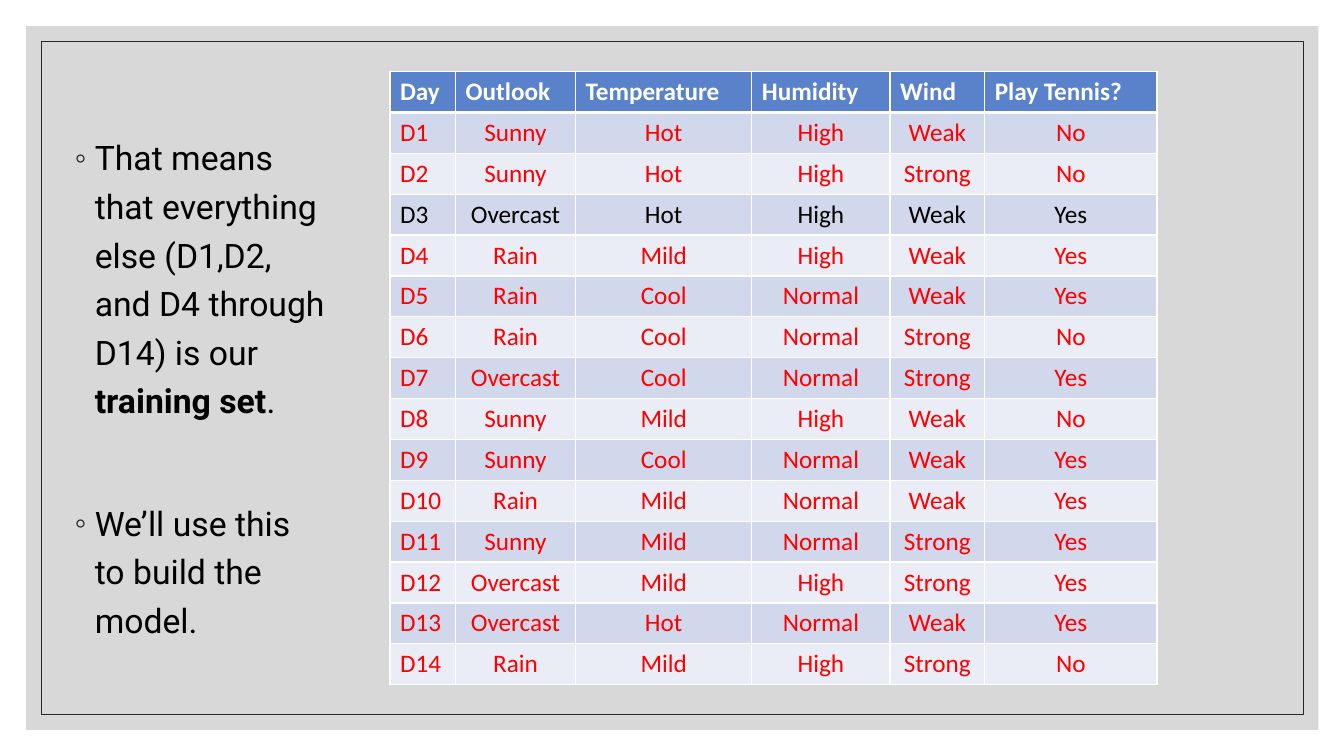
from dataclasses import dataclass
from typing import Optional

from lxml import etree
from pptx import Presentation
from pptx.dml.color import RGBColor
from pptx.enum import shapes, text
from pptx.oxml import ns
from pptx.util import Pt


@dataclass(frozen=True)
class Theme:
    panel: str = "BFBFBF"
    panel_opacity: int = 60
    frame: str = "262626"
    ink: str = "000000"
    training: str = "FF0000"
    header: str = "5A82CB"
    bands: tuple[str, str] = ("D2D8EC", "EAEDF6")
    white: str = "FFFFFF"
    point_font: str = "Roboto"
    point_size: float = 24.1
    table_font: str = "Calibri"
    table_size: float = 18


@dataclass(frozen=True)
class Backdrop:
    left: float
    top: float
    width: float
    height: float
    fill: Optional[str] = None
    line: Optional[str] = None


@dataclass(frozen=True)
class Point:
    runs: tuple[tuple[str, bool], ...]
    space_before: float = 0


@dataclass(frozen=True)
class Column:
    heading: str
    width: float
    align: text.PP_ALIGN = text.PP_ALIGN.CENTER


THEME = Theme()
BACKDROPS = (
    Backdrop(18.7, 18.7, 923, 502.6, fill=THEME.panel),
    Backdrop(29.5, 29.5, 901.4, 481, line=THEME.frame),
)
POINTS = (
    Point((
        ("That means that everything else (D1,D2, and D4 through D14) is our ", False),
        ("training set", True),
        (".", False),
    )),
    Point((("We’ll use this to build the model.", False),), space_before=52.6),
)
COLUMNS = (
    Column("Day", 46.8, text.PP_ALIGN.LEFT),
    Column("Outlook", 85.7),
    Column("Temperature", 126),
    Column("Humidity", 98.6),
    Column("Wind", 67.7),
    Column("Play Tennis?", 123.1),
)
OBSERVATIONS = (
    "Sunny Hot High Weak No",
    "Sunny Hot High Strong No",
    "Overcast Hot High Weak Yes",
    "Rain Mild High Weak Yes",
    "Rain Cool Normal Weak Yes",
    "Rain Cool Normal Strong No",
    "Overcast Cool Normal Strong Yes",
    "Sunny Mild High Weak No",
    "Sunny Cool Normal Weak Yes",
    "Rain Mild Normal Weak Yes",
    "Sunny Mild Normal Strong Yes",
    "Overcast Mild High Strong Yes",
    "Overcast Hot Normal Weak Yes",
    "Rain Mild High Strong No",
)
HELD_OUT_DAY = "D3"
ROW_HEIGHT = 29.2


def rgb(color: str) -> RGBColor:
    return RGBColor.from_string(color)


def style_font(font, name: str, size: float, color: str, bold: bool) -> None:
    font.name, font.size, font.bold = name, Pt(size), bold
    font.color.rgb = rgb(color)


def add_backdrop(slide, backdrop: Backdrop) -> None:
    panel = slide.shapes.add_shape(
        shapes.MSO_SHAPE.RECTANGLE, Pt(backdrop.left), Pt(backdrop.top),
        Pt(backdrop.width), Pt(backdrop.height))
    panel.shadow.inherit = False
    if backdrop.fill:
        panel.fill.solid()
        panel.fill.fore_color.rgb = rgb(backdrop.fill)
        color = panel.element.spPr.find(f".//{ns.qn('a:srgbClr')}")
        etree.SubElement(color, ns.qn("a:alpha"), val=str(THEME.panel_opacity * 1000))
    else:
        panel.fill.background()
    if backdrop.line:
        panel.line.color.rgb = rgb(backdrop.line)
        panel.line.width = Pt(0.5)
    else:
        panel.line.fill.background()


def set_bullet(paragraph, indent: float) -> None:
    properties = paragraph._p.get_or_add_pPr()
    properties.set("marL", str(Pt(indent)))
    properties.set("indent", str(-Pt(indent)))
    color = etree.SubElement(properties, ns.qn("a:buClr"))
    etree.SubElement(color, ns.qn("a:srgbClr"), val=THEME.frame)
    etree.SubElement(properties, ns.qn("a:buChar"), char="◦")


def fill_points(body) -> None:
    body.left, body.top, body.width, body.height = Pt(46.1), Pt(88.6), Pt(194.4), Pt(418.3)
    frame = body.text_frame
    frame.word_wrap = True
    frame.auto_size = text.MSO_AUTO_SIZE.NONE
    frame.vertical_anchor = text.MSO_ANCHOR.TOP
    for index, point in enumerate(POINTS):
        paragraph = frame.add_paragraph() if index else frame.paragraphs[0]
        set_bullet(paragraph, 14.4)
        paragraph.line_spacing = 1.2
        paragraph.space_before = Pt(point.space_before)
        for words, bold in point.runs:
            run = paragraph.add_run()
            run.text = words
            style_font(run.font, THEME.point_font, THEME.point_size, THEME.ink, bold)


def set_borders(cell, top: float, bottom: float) -> None:
    """Draw white cell edges; they must precede the fill in the cell properties."""
    properties = cell._tc.get_or_add_tcPr()
    widths = {"lnL": 1, "lnR": 1, "lnT": top, "lnB": bottom}
    for position, (edge, width) in enumerate(widths.items()):
        line = etree.Element(ns.qn(f"a:{edge}"), w=str(Pt(width)))
        fill = etree.SubElement(line, ns.qn("a:solidFill"))
        etree.SubElement(fill, ns.qn("a:srgbClr"), val=THEME.white)
        properties.insert(position, line)


def add_observations(slide) -> None:
    rows = [[column.heading for column in COLUMNS]]
    rows += [[f"D{day}", *values.split()] for day, values in enumerate(OBSERVATIONS, 1)]
    table = slide.shapes.add_table(
        len(rows), len(COLUMNS), Pt(278.6), Pt(51.1),
        Pt(sum(column.width for column in COLUMNS)), Pt(ROW_HEIGHT * len(rows))).table
    table.horz_banding = False
    for index, column in enumerate(COLUMNS):
        table.columns[index].width = Pt(column.width)
    for r, values in enumerate(rows):
        table.rows[r].height = Pt(ROW_HEIGHT)
        is_header = r == 0
        if is_header:
            background, ink = THEME.header, THEME.white
        else:
            background = THEME.bands[(r - 1) % 2]
            ink = THEME.ink if values[0] == HELD_OUT_DAY else THEME.training
        for c, value in enumerate(values):
            cell = table.cell(r, c)
            cell.fill.solid()
            cell.fill.fore_color.rgb = rgb(background)
            set_borders(cell, top=3 if r == 1 else 1, bottom=3 if is_header else 1)
            cell.text_frame.text = value
            paragraph = cell.text_frame.paragraphs[0]
            paragraph.alignment = text.PP_ALIGN.LEFT if is_header else COLUMNS[c].align
            style_font(paragraph.runs[0].font, THEME.table_font, THEME.table_size,
                       ink, is_header)


def main() -> None:
    deck = Presentation()
    deck.slide_width, deck.slide_height = Pt(960), Pt(540)
    slide = deck.slides.add_slide(deck.slide_layouts[1])
    title, body = slide.placeholders
    tree = body.element.getparent()
    tree.remove(title.element)
    for backdrop in BACKDROPS:
        add_backdrop(slide, backdrop)
    tree.append(body.element)  # bring the points in front of the backdrops
    fill_points(body)
    add_observations(slide)
    deck.save("out.pptx")


if __name__ == "__main__":
    main()
